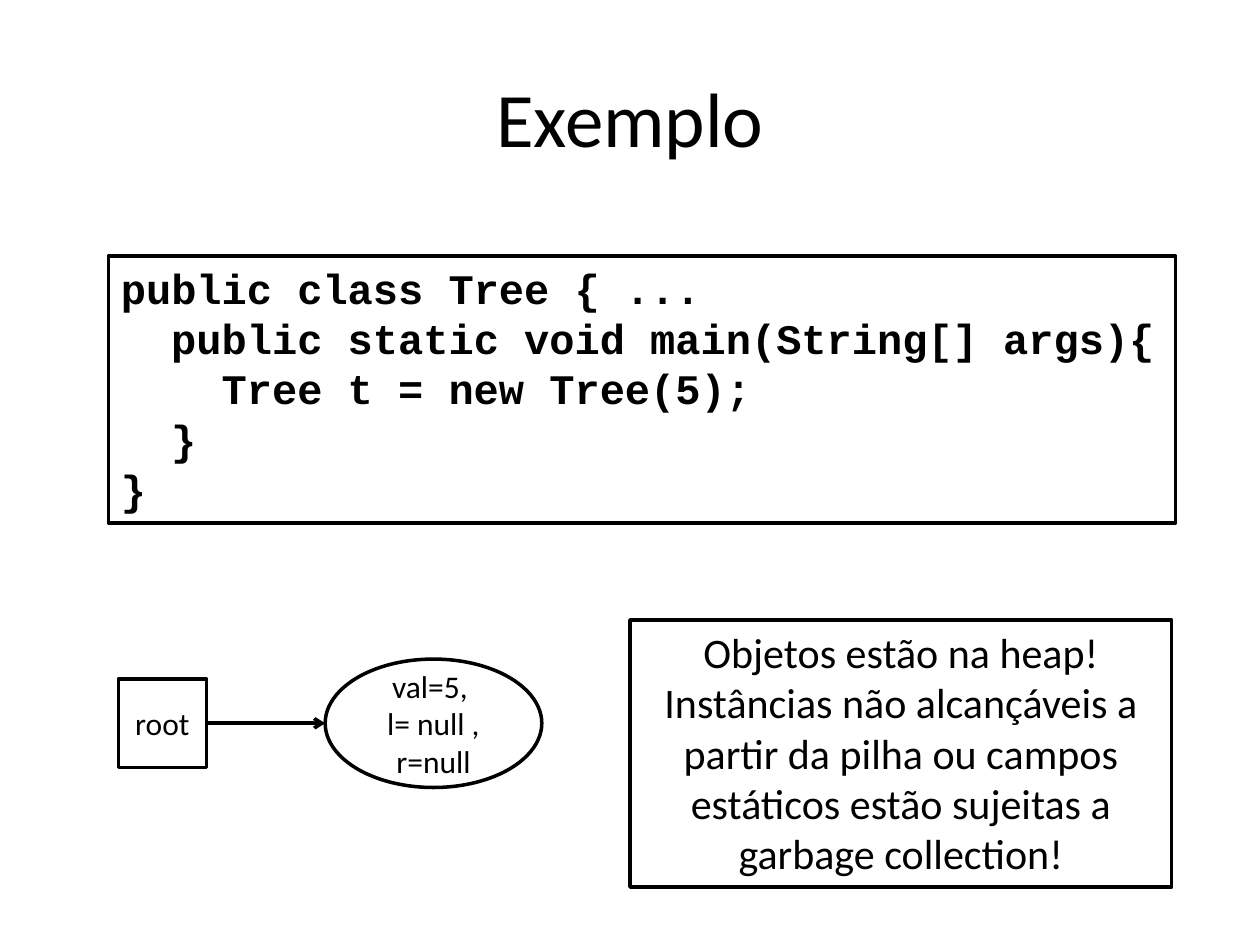
"""Builds the slide that shows a tree object reached from its root on the heap."""
from dataclasses import dataclass

from lxml.etree import SubElement
from pptx import Presentation
from pptx.dml.color import RGBColor
from pptx.enum.shapes import MSO_CONNECTOR, MSO_SHAPE as Preset
from pptx.enum.text import MSO_ANCHOR as Anchor, MSO_AUTO_SIZE as AutoSize, PP_ALIGN as Align
from pptx.oxml.ns import qn
from pptx.util import Pt

BLACK = RGBColor(0, 0, 0)
WHITE = RGBColor(255, 255, 255)
LINE_WIDTH = Pt(2)
CODE_SIZE = 24
INDENT_STEP = 2 * 0.6 * CODE_SIZE
DIAGRAM_MIDDLE = 413.3


@dataclass(frozen=True)
class Box:
    left: float
    top: float
    width: float
    height: float
    preset: Preset = Preset.RECTANGLE


@dataclass(frozen=True)
class Line:
    text: str
    level: int = 0


def centred_box(left: float, width: float, height: float, preset: Preset) -> Box:
    return Box(left, DIAGRAM_MIDDLE - height / 2, width, height, preset)


def write(shape, lines: list[Line], *, size: float, font: str = "Calibri",
          bold: bool = False, align: Align = Align.CENTER,
          anchor: Anchor = Anchor.MIDDLE, wrap: bool = True, grow: bool = False) -> None:
    frame = shape.text_frame
    frame.word_wrap = wrap
    frame.vertical_anchor = anchor
    frame.auto_size = AutoSize.SHAPE_TO_FIT_TEXT if grow else AutoSize.NONE
    for index, line in enumerate(lines):
        paragraph = frame.add_paragraph() if index else frame.paragraphs[0]
        paragraph.alignment = align
        if line.level:
            paragraph._p.get_or_add_pPr().set("marL", str(int(Pt(line.level * INDENT_STEP))))
        run = paragraph.add_run()
        run.text = line.text
        run.font.name = font
        run.font.size = Pt(size)
        run.font.bold = bold
        run.font.color.rgb = BLACK


def draw_box(slide, box: Box):
    shape = slide.shapes.add_shape(
        box.preset, Pt(box.left), Pt(box.top), Pt(box.width), Pt(box.height))
    shape.shadow.inherit = False
    shape.fill.solid()
    shape.fill.fore_color.rgb = WHITE
    shape.line.color.rgb = BLACK
    shape.line.width = LINE_WIDTH
    return shape


def draw_reference(slide, source, target) -> None:
    middle = Pt(DIAGRAM_MIDDLE)
    arrow = slide.shapes.add_connector(
        MSO_CONNECTOR.STRAIGHT, source.left + source.width, middle, target.left, middle)
    arrow.begin_connect(source, 3)
    arrow.line.color.rgb = BLACK
    arrow.line.width = LINE_WIDTH
    SubElement(arrow.line._get_or_add_ln(), qn("a:tailEnd"), type="arrow")
    SubElement(arrow._element.spPr, qn("a:effectLst"))


def main() -> None:
    presentation = Presentation()
    presentation.slide_width, presentation.slide_height = Pt(720), Pt(540)
    slide = presentation.slides.add_slide(presentation.slide_layouts[6])

    title = slide.shapes.add_textbox(Pt(36), Pt(21.6), Pt(648), Pt(90))
    write(title, [Line("Exemplo")], size=44)

    code = draw_box(slide, Box(62, 146.2, 609.8, 152.6))
    write(code, [
        Line("public class Tree { ..."),
        Line("public static void main(String[] args){", 1),
        Line("Tree t = new Tree(5);", 2),
        Line("}", 1),
        Line("}"),
    ], size=CODE_SIZE, font="Courier New", bold=True, align=Align.LEFT,
        anchor=Anchor.TOP, wrap=False, grow=True)

    root = draw_box(slide, centred_box(67.6, 50.4, 50.4, Preset.RECTANGLE))
    write(root, [Line("root")], size=18)
    node = draw_box(slide, centred_box(185.8, 123.8, 73.4, Preset.OVAL))
    write(node, [Line("val=5, "), Line("l= null , r=null")], size=18)
    draw_reference(slide, root, node)

    heap_note = draw_box(slide, Box(360, 354.3, 309.6, 152.6))
    write(heap_note, [Line(
        "Objetos estão na heap! Instâncias não alcançáveis a partir da pilha "
        "ou campos estáticos estão sujeitas a garbage collection!")],
        size=24, anchor=Anchor.TOP, grow=True)

    presentation.save("out.pptx")


if __name__ == "__main__":
    main()
